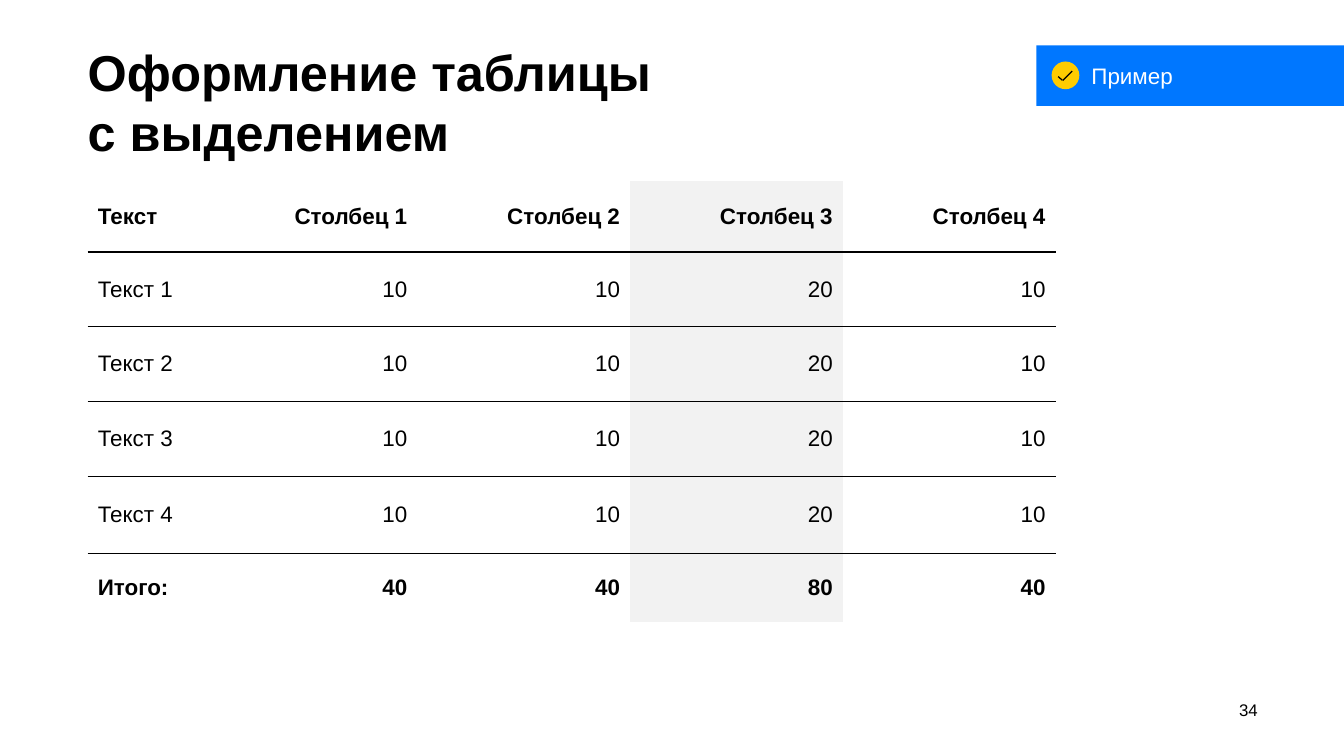
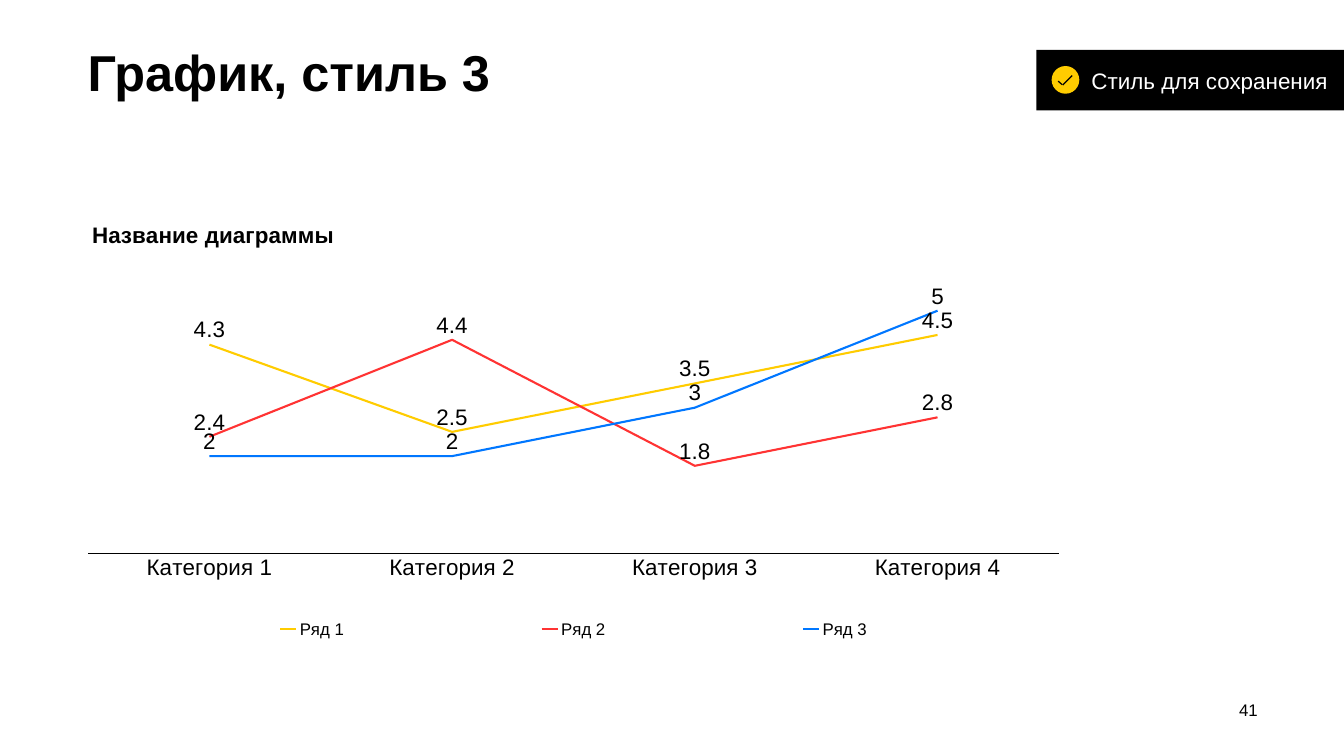
from lxml import etree
from pptx import Presentation
from pptx import util as u
from pptx.chart.data import CategoryChartData
from pptx.dml.color import RGBColor
from pptx.enum import chart as charts, shapes, text
from pptx.oxml import parse_xml
from pptx.oxml.ns import nsdecls, qn

PX = 9144  # 100 px to the inch
FONT = "Arial"
COLORS = {
    "black": "000000", "white": "FFFFFF", "grey": "F2F2F2",
    "blue": "0077FF", "yellow": "FFCC00", "red": "FF3333",
}
RGB = {name: RGBColor.from_string(value) for name, value in COLORS.items()}
NO_GRID_STYLE = "{2D5ABB26-0587-4C30-8999-92F81FD0307C}"


def write(frame, content, size=32, color="black", bold=False, align="LEFT",
          anchor=None, insets=None, spacing=None):
    """Fill a text frame; insets are left, top, right, bottom in px."""
    frame.word_wrap = True
    if anchor:
        frame.vertical_anchor = text.MSO_ANCHOR[anchor]
    if insets:
        (frame.margin_left, frame.margin_top,
         frame.margin_right, frame.margin_bottom) = (PX * v for v in insets)
    paragraph = frame.paragraphs[0]
    paragraph.text = content
    paragraph.alignment = text.PP_ALIGN[align]
    if spacing:
        paragraph.line_spacing = u.Pt(spacing)
    for run in paragraph.runs:
        run.font.name, run.font.size, run.font.bold = FONT, u.Pt(size), bold
        run.font.color.rgb = RGB[color]


def start_slide(deck, heading, number, badge_text, badge_color, badge_top):
    """Add a slide with its title, page number and check-mark badge."""
    slide = deck.slides.add_slide(deck.slide_layouts[5])
    title = slide.shapes.title
    title.left, title.top, title.width, title.height = (PX * v for v in (174, 60, 2322, 159))
    title.text_frame.auto_size = text.MSO_AUTO_SIZE.NONE
    write(title.text_frame, heading, size=72, bold=True, anchor="TOP",
          insets=(0, 22, 0, 0), spacing=86)

    page = slide.shapes.add_textbox(*(PX * v for v in (2375, 1380, 120, 48)))
    write(page.text_frame, str(number), size=24, align="RIGHT", anchor="MIDDLE",
          insets=(0, 8, 0, 0))

    badge = slide.shapes.add_group_shape().shapes
    band = badge.add_shape(shapes.MSO_SHAPE.RECTANGLE,
                           *(PX * v for v in (2056, badge_top, 611, 120)))
    disc = badge.add_shape(shapes.MSO_SHAPE.OVAL,
                           *(PX * v for v in (2086, badge_top + 32, 55, 55)))
    for part, color in ((band, badge_color), (disc, "yellow")):
        part.shadow.inherit = False
        part.fill.solid()
        part.fill.fore_color.rgb = RGB[color]
        part.line.fill.background()
    write(band.text_frame, badge_text, color="white", anchor="MIDDLE",
          insets=(109, 24, 10, 24))
    for x1, y1, x2, y2 in ((2099, 62, 2107, 69), (2108, 70, 2127, 51)):
        stroke = badge.add_connector(
            shapes.MSO_CONNECTOR.STRAIGHT,
            *(PX * v for v in (x1, badge_top + y1, x2, badge_top + y2)))
        stroke.line.color.rgb = RGB["black"]
        stroke.line.width = u.Pt(1.75)
        etree.SubElement(stroke._element.spPr, qn("a:effectLst"))
    return slide


deck = Presentation()
deck.slide_width, deck.slide_height = PX * 2666, PX * 1500

# Table with a highlighted column
slide = start_slide(deck, "Оформление таблицы \nс выделением", 34, "Пример", "blue", 90)
rows = [["Текст"] + [f"Столбец {n}" for n in range(1, 5)]]
rows += [[f"Текст {n}", "10", "10", "20", "10"] for n in range(1, 5)]
rows += [["Итого:", "40", "40", "80", "40"]]
column_widths = (261, 393, 422, 422, 422)
row_heights = (141, 148, 149, 149, 152, 136)
rules = (0, 3, 1, 1, 1, 1, 0)  # line widths in points, from the top edge down
highlighted = 3

table = slide.shapes.add_table(len(rows), len(column_widths),
                               *(PX * v for v in (174, 359, 1921, 875))).table
table.first_row = table.horz_banding = False
table._tbl.tblPr.find(qn("a:tableStyleId")).text = NO_GRID_STYLE
for column, width in zip(table.columns, column_widths):
    column.width = PX * width
for r, (row, height) in enumerate(zip(rows, row_heights)):
    table.rows[r].height = PX * height
    for c, content in enumerate(row):
        cell = table.cell(r, c)
        cell.margin_left = cell.margin_right = PX * 20
        cell.margin_top = cell.margin_bottom = 0
        cell.vertical_anchor = text.MSO_ANCHOR.MIDDLE
        write(cell.text_frame, content, bold=r in (0, len(rows) - 1),
              align="RIGHT" if c else "LEFT")
        if c == highlighted:
            cell.fill.solid()
            cell.fill.fore_color.rgb = RGB["grey"]
        else:
            cell.fill.background()
        for side, points in (("lnB", rules[r + 1]), ("lnT", rules[r])):
            if points:
                cell._tc.get_or_add_tcPr().insert(0, parse_xml(
                    f'<a:{side} {nsdecls("a")} w="{u.Pt(points)}"><a:solidFill>'
                    f'<a:srgbClr val="{COLORS["black"]}"/></a:solidFill></a:{side}>'))

# Line chart
slide = start_slide(deck, "График, стиль 3", 41, "Стиль для сохранения", "black", 99)
series_values = {
    "Ряд 1": ("yellow", (4.3, 2.5, 3.5, 4.5)),
    "Ряд 2": ("red", (2.4, 4.4, 1.8, 2.8)),
    "Ряд 3": ("blue", (2, 2, 3, 5)),
}
data = CategoryChartData()
data.categories = [f"Категория {n}" for n in range(1, 5)]
for name, (_, values) in series_values.items():
    data.add_series(name, values)
chart = slide.shapes.add_chart(charts.XL_CHART_TYPE.LINE,
                               *(PX * v for v in (174, 383, 2321, 916)), data).chart
chart.font.name, chart.font.size = FONT, u.Pt(10)
chart.font.color.rgb = RGB["black"]
write(chart.chart_title.text_frame, "Название диаграммы", bold=True)
chart.chart_title.include_in_layout = False

chart.has_legend = True
chart.legend.position = charts.XL_LEGEND_POSITION.BOTTOM
chart.legend.include_in_layout = False
axis = chart.category_axis
axis.major_tick_mark = charts.XL_TICK_MARK.NONE
axis.format.line.color.rgb = RGB["black"]
axis.format.line.width = u.Pt(1)
chart.value_axis.minimum_scale, chart.value_axis.maximum_scale = 0, 6
chart.value_axis.has_major_gridlines = False
chart.value_axis.visible = False

label_fonts = [(axis.tick_labels.font, 32), (chart.legend.font, 24)]
for series in chart.plots[0].series:
    series.smooth = False
    series.format.line.color.rgb = RGB[series_values[series.name][0]]
    series.format.line.width = u.Pt(3)
    labels = series.data_labels
    labels.show_value = True
    labels.position = charts.XL_LABEL_POSITION.ABOVE
    label_fonts.append((labels.font, 32))
for font, size in label_fonts:
    font.name, font.size = FONT, u.Pt(size)
    font.color.rgb = RGB["black"]

# Fixed places inside the chart, as shares of its size
plot_area = chart._chartSpace.chart.plotArea
for element, target, place in (
    (chart.chart_title._element, "", {"x": 0, "y": 0.05}),
    (plot_area, "inner", {"x": 0, "y": 0.15, "w": 0.83, "h": 0.63}),
    (chart.legend._element, "", {"x": 0, "y": 0.91, "w": 0.83, "h": 0.07}),
):
    for old in element.findall(qn("c:layout")):
        element.remove(old)
    entries = f'<c:layoutTarget val="{target}"/>' if target else ""
    entries += "".join(f'<c:{k}Mode val="edge"/>' for k in place if k in "xy")
    entries += "".join(f'<c:{k} val="{v}"/>' for k, v in place.items())
    layout = parse_xml(f'<c:layout {nsdecls("c")}><c:manualLayout>{entries}'
                       '</c:manualLayout></c:layout>')
    element.insert(0 if element is plot_area else 1, layout)

deck.save("out.pptx")
